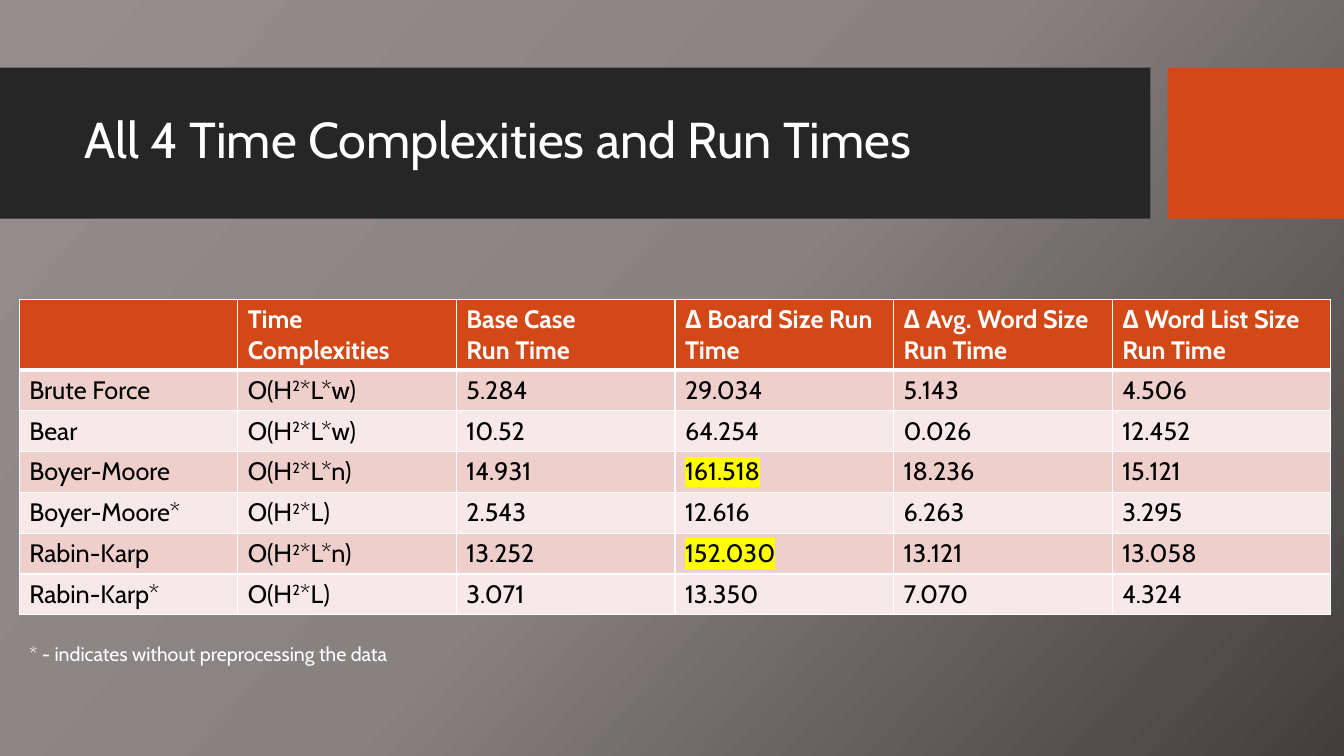
from copy import deepcopy
from dataclasses import dataclass

from lxml.etree import SubElement
from pptx import Presentation
from pptx.dml.color import RGBColor
from pptx.enum.shapes import MSO_SHAPE
from pptx.enum.text import MSO_ANCHOR
from pptx.oxml.ns import qn
from pptx.util import Inches, Pt


@dataclass(frozen=True)
class Theme:
    font: str = "Cabin"
    dark: str = "262626"
    accent: str = "D34817"
    light: str = "FFFFFF"
    ink: str = "000000"
    mark: str = "FFFF00"
    bands: tuple = ("EFCFCC", "F7E9E8")
    stops: tuple = ((0, "968E8E"), (0.5, "898282"), (1, "413E3E"))
    title: int = 36
    body: int = 18
    note: int = 14


THEME = Theme()

HEADS = ["", "Time Complexities", "Base Case\nRun Time", "Δ Board Size Run Time",
         "Δ Avg. Word Size Run Time", "Δ Word List Size Run Time"]
# A caret comes before a raised digit
ROWS = [
    ["Brute Force", "O(H^2*L*w)", "5.284", "29.034", "5.143", "4.506"],
    ["Bear", "O(H^2*L*w)", "10.52", "64.254", "0.026", "12.452"],
    ["Boyer-Moore", "O(H^2*L*n)", "14.931", "161.518", "18.236", "15.121"],
    ["Boyer-Moore*", "O(H^2*L)", "2.543", "12.616", "6.263", "3.295"],
    ["Rabin-Karp", "O(H^2*L*n)", "13.252", "152.030", "13.121", "13.058"],
    ["Rabin-Karp*", "O(H^2*L)", "3.071", "13.350", "7.070", "4.324"],
]
MARKED = {"161.518", "152.030"}


def rgb(code):
    return RGBColor.from_string(code)


def style(para, size, color, bold=False):
    font = para.font
    font.name, font.size, font.bold = THEME.font, Pt(size), bold
    font.color.rgb = rgb(color)


def paint_back(slide):
    fill = slide.background.fill
    fill.gradient()
    fill.gradient_angle = 360 - 42  # counted counter-clockwise
    first = slide.element.find(".//" + qn("a:gs"))
    first.addnext(deepcopy(first))
    for stop, (place, color) in zip(fill.gradient_stops, THEME.stops):
        stop.position = place
        stop.color.rgb = rgb(color)


def add_block(slide, left, width, color):
    block = slide.shapes.add_shape(MSO_SHAPE.RECTANGLE, Inches(left), Inches(0.67),
                                   Inches(width), Inches(1.5))
    block.shadow.inherit = False
    block.fill.solid()
    block.fill.fore_color.rgb = rgb(color)
    block.line.fill.background()


def add_text(slide, box, text, size, anchor=MSO_ANCHOR.TOP):
    frame = slide.shapes.add_textbox(*map(Inches, box)).text_frame
    frame.word_wrap = True
    frame.vertical_anchor = anchor
    para = frame.paragraphs[0]
    para.text = text
    style(para, size, THEME.light)
    return para


def add_edges(cell, base):
    props = cell._tc.get_or_add_tcPr()
    widths = {"a:lnL": 1, "a:lnR": 1, "a:lnT": 1, "a:lnB": base}
    for spot, (tag, width) in enumerate(widths.items()):
        line = SubElement(props, qn(tag), w=str(Pt(width)))
        fill = SubElement(line, qn("a:solidFill"))
        SubElement(fill, qn("a:srgbClr"), val=THEME.light)
        props.insert(spot, line)


def add_runs(para, text):
    start, caret, rest = text.partition("^")
    para.add_run().text = start
    if caret:
        power = para.add_run()
        power.text = rest[0]
        power.font._element.set("baseline", "30000")
        para.add_run().text = rest[1:]
    if text in MARKED:
        props = para.runs[0].font._element
        glow = SubElement(props, qn("a:highlight"))
        SubElement(glow, qn("a:srgbClr"), val=THEME.mark)


def fill_cell(cell, text, fill, color, head):
    cell.fill.solid()
    cell.fill.fore_color.rgb = rgb(fill)
    add_edges(cell, 3 if head else 1)
    frame = cell.text_frame
    for num, line in enumerate(text.split("\n")):
        para = frame.add_paragraph() if num else frame.paragraphs[0]
        style(para, THEME.body, color, head)
        if line:
            add_runs(para, line)


def add_grid(slide, left, top, width, height, head):
    grid = slide.shapes.add_table(len(ROWS) + 1, len(HEADS), Inches(left), Inches(top),
                                  Inches(width), Inches(height)).table
    for num, row in enumerate(grid.rows):
        row.height = Inches((height - head) / len(ROWS) if num else head)
        for cell, text in zip(row.cells, [HEADS, *ROWS][num]):
            if num:
                fill_cell(cell, text, THEME.bands[(num - 1) % 2], THEME.ink, False)
            else:
                fill_cell(cell, text, THEME.accent, THEME.light, True)


def main():
    deck = Presentation()
    deck.slide_width, deck.slide_height = Inches(13.33), Inches(7.5)
    slide = deck.slides.add_slide(deck.slide_layouts[6])
    paint_back(slide)

    # Title band
    add_block(slide, 0, 11.41, THEME.dark)
    add_block(slide, 11.58, 1.75, THEME.accent)
    title = add_text(slide, (0.74, 0.82, 10.51, 1.18),
                     "All 4 Time Complexities and Run Times", THEME.title,
                     MSO_ANCHOR.MIDDLE)
    title.line_spacing = 0.9

    # Run times and footnote
    add_grid(slide, 0.19, 2.97, 13.01, 3.13, 0.7)
    add_text(slide, (0.19, 6.32, 11.67, 0.34),
             "* - indicates without preprocessing the data", THEME.note)

    deck.save("out.pptx")


if __name__ == "__main__":
    main()
